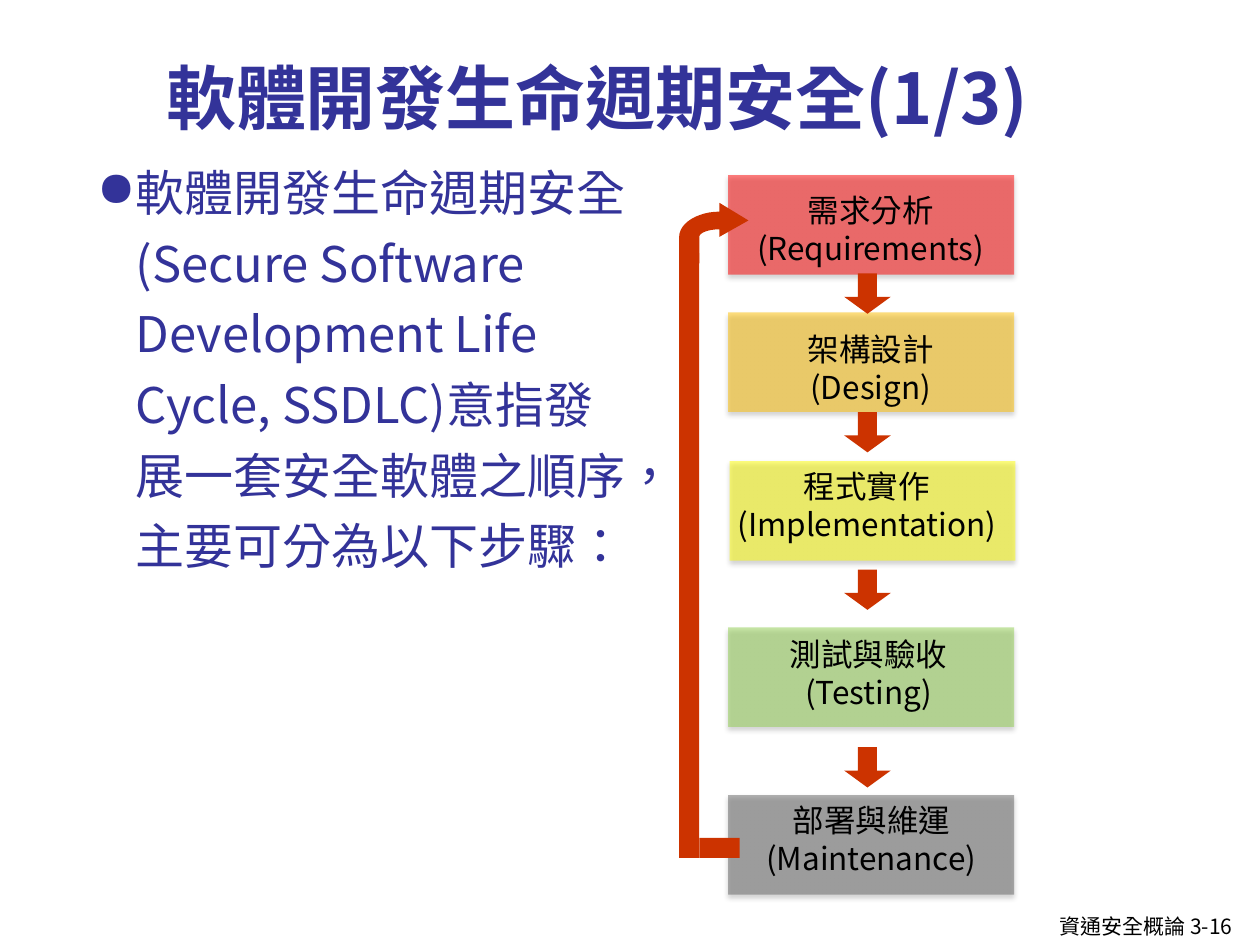
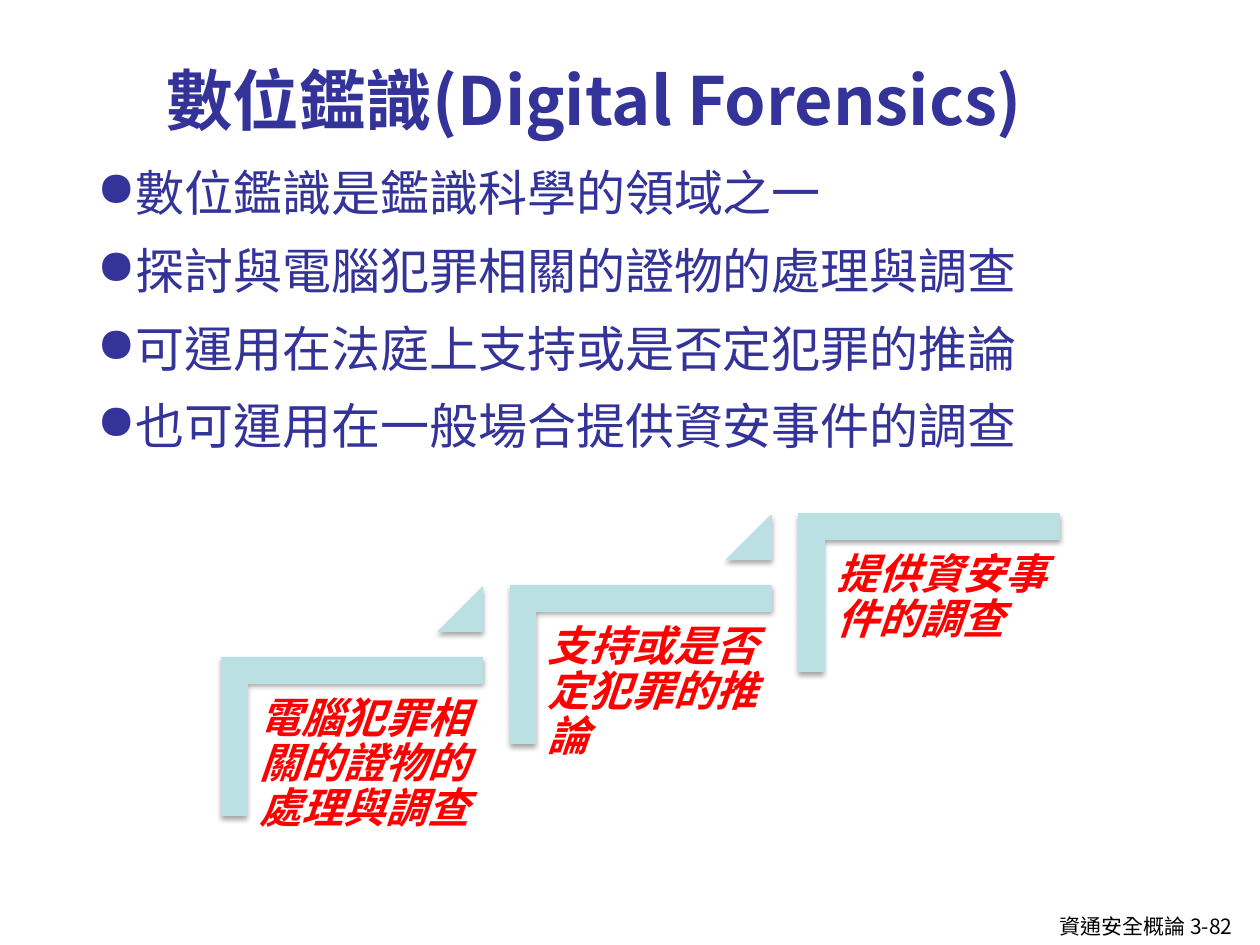
from dataclasses import dataclass
from typing import NamedTuple

from lxml.etree import SubElement
from pptx import Presentation
from pptx.dml.color import RGBColor
from pptx.enum.shapes import MSO_SHAPE as Preset
from pptx.enum.text import MSO_ANCHOR as Anchor, PP_ALIGN as Align
from pptx.oxml.ns import qn
from pptx.util import Inches, Pt

FONT = "Noto Sans CJK SC"
STEP_FONT = "Noto Sans CJK TC"
NAVY, BLACK, RED = "333399", "000000", "FF0000"
RUST, PALE_TEAL = "CC3300", "BBE0E3"
COURSE = "資通安全概論"


class Frame(NamedTuple):
    """Left, top, width and height in inches."""
    left: float
    top: float
    width: float
    height: float

    def lengths(self) -> list:
        """Return the four values as lengths."""
        return [Inches(value) for value in self]


@dataclass
class Stage:
    """One stage of the life cycle with its block and label."""
    name: str
    english: str
    color: str
    left: float
    top: float
    label: Frame


STAGES = [
    Stage("需求分析", "(Requirements)", "FF0000", 5.78, 1.39, Frame(5.87, 1.47, 2.08, 0.7)),
    Stage("架構設計", "(Design)", "FFC000", 5.78, 2.48, Frame(5.87, 2.57, 2.08, 0.7)),
    Stage("程式實作", "(Implementation)", "FFFF00", 5.79, 3.66, Frame(5.7, 3.66, 2.36, 0.7)),
    Stage("測試與驗收", "(Testing)", "92D050", 5.78, 4.98, Frame(6.03, 4.99, 1.73, 0.7)),
    Stage("部署與維運", "(Maintenance)", "666666", 5.78, 6.31, Frame(5.78, 6.31, 2.27, 0.7)),
]
ARROW_TOPS = [2.17, 3.27, 4.52, 5.93]
FORENSIC_STEPS = ["電腦犯罪相關的證物的處理與調查", "支持或是否定犯罪的推論", "提供資安事件的調查"]


def paint(fill, color: str, opacity: int = 100) -> None:
    """Give a fill a solid colour and an opacity in percent."""
    fill.solid()
    fill.fore_color.rgb = RGBColor.from_string(color)
    if opacity < 100:
        tint = fill._xPr.find(qn("a:solidFill"))[0]
        SubElement(tint, qn("a:alpha"), val=str(opacity * 1000))


def add_text(page, frame: Frame, lines: list[str], *, size: float, color: str = BLACK,
             font: str = FONT, bold: bool = False, italic: bool = False,
             align=None, anchor=Anchor.TOP, wrap: bool = True, inset: float | None = None,
             spacing: float | None = None, gap: float = 0, bullet: str = "") -> None:
    """Add a text box with one paragraph for each line."""
    box = page.shapes.add_textbox(*frame.lengths()).text_frame
    box.word_wrap = wrap
    box.vertical_anchor = anchor
    if inset is not None:
        box.margin_left = box.margin_right = box.margin_top = box.margin_bottom = Inches(inset)
    for index, line in enumerate(lines):
        para = box.add_paragraph() if index else box.paragraphs[0]
        para.alignment = align
        para.line_spacing = spacing
        if gap:
            para.space_after = Pt(gap)
            if index:
                para.space_before = Pt(gap)
        if bullet:
            settings = para._p.get_or_add_pPr()
            settings.set("marL", str(Inches(0.31)))
            settings.set("indent", str(-Inches(0.31)))
            settings.set("hangingPunct", "1")
            SubElement(settings, qn("a:buChar"), char=bullet)
        span = para.add_run()
        span.text = line
        span.font.size = Pt(size)
        span.font.bold = bold
        span.font.italic = italic
        span.font.name = font
        paint(span.font.fill, color)
        letters = span._r.get_or_add_rPr()
        letters.set("lang", "zh-TW")
        SubElement(letters, qn("a:ea"), typeface=font)


def finish(shape, color: str, opacity: int = 100, line: str = "", shadow: bool = False) -> None:
    """Set the fill, outline and shadow of a shape."""
    paint(shape.fill, color, opacity)
    if line:
        paint(shape.line.fill, line)
        shape.line.width = Pt(0.75)
    else:
        shape.line.fill.background()
    shape.shadow.inherit = False
    if shadow:
        effects = shape._element.spPr.find(qn("a:effectLst"))
        outer = SubElement(effects, qn("a:outerShdw"), blurRad=str(Pt(3.1)), dist=str(Pt(1.8)),
                           dir="5400000", rotWithShape="0")
        tint = SubElement(outer, qn("a:srgbClr"), val=BLACK)
        SubElement(tint, qn("a:alpha"), val="35000")


def add_block(page, preset, frame: Frame, color: str, *, adjust: tuple = (),
              rotation: float = 0, **look) -> None:
    """Add a preset shape with its adjustments and look."""
    shape = page.shapes.add_shape(preset, *frame.lengths())
    for index, value in enumerate(adjust):
        shape.adjustments[index] = value
    shape.rotation = rotation
    finish(shape, color, **look)


def curve(*points: tuple[float, float], count: int = 12) -> list[tuple[float, float]]:
    """Return points along a cubic curve, without its start."""
    result = []
    for index in range(1, count + 1):
        t = index / count
        weights = ((1 - t) ** 3, 3 * t * (1 - t) ** 2, 3 * t * t * (1 - t), t ** 3)
        result.append(tuple(sum(w * p[axis] for w, p in zip(weights, points)) for axis in (0, 1)))
    return result


def add_return_arrow(page) -> None:
    """Draw the path from the last stage back to the first."""
    add_block(page, Preset.RECTANGLE, Frame(5.55, 6.65, 0.32, 0.16), RUST)
    outline = [(5.94, 1.75), (5.71, 1.61), (5.71, 1.68),
               *curve((5.71, 1.68), (5.54, 1.68), (5.39, 1.77), (5.39, 1.88)),
               (5.39, 2.09), (5.55, 2.09), (5.55, 1.88),
               *curve((5.55, 1.88), (5.55, 1.85), (5.62, 1.82), (5.71, 1.82)),
               (5.71, 1.88)]
    corners = [(Inches(x), Inches(y)) for x, y in outline]
    builder = page.shapes.build_freeform(*corners[0])
    builder.add_line_segments(corners[1:], close=True)
    finish(builder.convert_to_shape(), RUST)
    add_block(page, Preset.RECTANGLE, Frame(5.39, 2.01, 0.16, 4.8), RUST)


def add_page(deck, number: str, title: str, title_size: float, title_width: float,
             points: list[str], body_width: float, align=None):
    """Add a page with footer, title and bulleted body."""
    page = deck.slides.add_slide(deck.slide_layouts[6])
    add_text(page, Frame(8.31, 7.2, 1.69, 0.3), [f"{COURSE} {number}"], size=12, wrap=False)
    add_text(page, Frame(1.22, 0.13, title_width, 1.02), [title], size=title_size,
             color=NAVY, bold=True, anchor=Anchor.BOTTOM)
    add_text(page, Frame(0.67, 1.15, body_width, 5.7), points, size=28, color=NAVY,
             align=align, spacing=1.2, gap=2, bullet="●")
    return page


def add_life_cycle(page) -> None:
    """Draw the stages, the arrows between them and the way back."""
    for stage in reversed(STAGES):
        add_block(page, Preset.RECTANGLE, Frame(stage.left, stage.top, 2.27, 0.79),
                  stage.color, opacity=50, shadow=True)
    for top in ARROW_TOPS:
        add_block(page, Preset.DOWN_ARROW, Frame(6.7, top, 0.37, 0.32), RUST, adjust=(0.41, 0.42))
    add_return_arrow(page)
    for stage in STAGES:
        add_text(page, stage.label, [stage.name, stage.english], size=18, align=Align.CENTER)


def add_staircase(page) -> None:
    """Draw the rising steps with a triangle between neighbours."""
    look = {"line": PALE_TEAL, "shadow": True}
    for index, step in enumerate(FORENSIC_STEPS):
        across, rise = 2.29 * index, 0.57 * index
        add_block(page, Preset.CORNER, Frame(2.17 + across, 4.81 - rise, 1.25, 2.07), PALE_TEAL,
                  adjust=(0.16, 0.16), rotation=90, **look)
        add_text(page, Frame(1.96 + across, 5.43 - rise, 1.87, 1.64), [step], size=24, color=RED,
                 font=STEP_FONT, bold=True, italic=True, inset=0.1, spacing=0.9)
        if index < len(FORENSIC_STEPS) - 1:
            add_block(page, Preset.ISOSCELES_TRIANGLE,
                      Frame(3.48 + across, 4.66 - rise, 0.35, 0.35), PALE_TEAL,
                      adjust=(1,), **look)


def main() -> None:
    """Build both pages and save the deck."""
    deck = Presentation()
    deck.slide_width, deck.slide_height = Inches(10), Inches(7.5)
    add_life_cycle(add_page(
        deck, "3-16", "軟體開發生命週期安全(1/3)", 40, 8.16,
        ["軟體開發生命週期安全(Secure Software Development Life Cycle, SSDLC)"
         "意指發展一套安全軟體之順序，主要可分為以下步驟："], 4.41))
    add_staircase(add_page(
        deck, "3-82", "數位鑑識(Digital Forensics)", 38, 8.98,
        ["數位鑑識是鑑識科學的領域之一",
         "探討與電腦犯罪相關的證物的處理與調查",
         "可運用在法庭上支持或是否定犯罪的推論",
         "也可運用在一般場合提供資安事件的調查"], 8.83, Align.JUSTIFY))
    deck.save("out.pptx")


if __name__ == "__main__":
    main()
